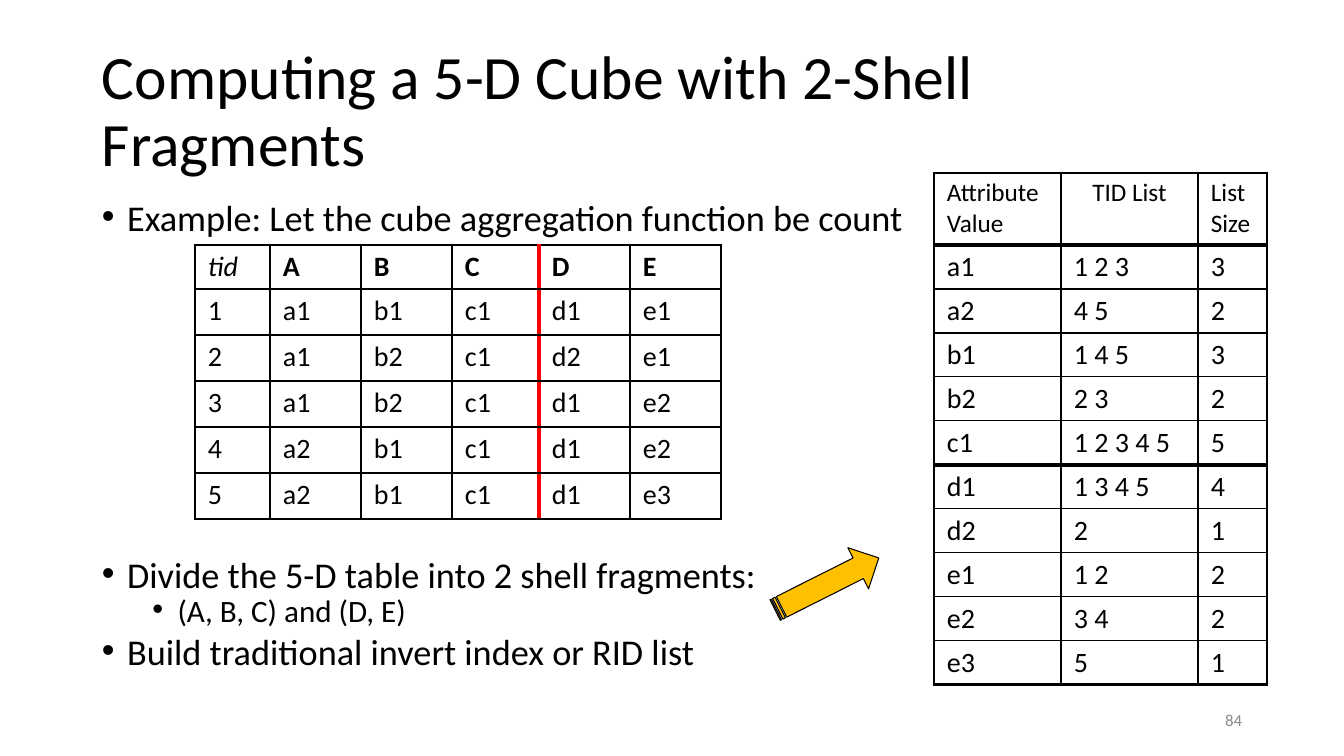
from lxml.etree import SubElement
from pptx import Presentation
from pptx.dml.color import RGBColor
from pptx.enum.shapes import MSO_SHAPE
from pptx.enum.text import MSO_ANCHOR, PP_ALIGN
from pptx.oxml import parse_xml
from pptx.oxml.ns import nsdecls, qn
from pptx.util import Emu, Pt

PX = 914400 / 100.8
BLACK = RGBColor(0x00, 0x00, 0x00)
RED = RGBColor(0xFF, 0x00, 0x00)
AMBER = RGBColor(0xFF, 0xC0, 0x00)
GRAY = RGBColor(0x8C, 0x8C, 0x8C)

# Cell rules as (colour, width in points)
INNER, OUTER = (BLACK, 1), (BLACK, 2.25)
THICK, SPLIT = (BLACK, 3), (RED, 3)

TUPLES = [
    "tid A B C D E".split(),
    "1 a1 b1 c1 d1 e1".split(),
    "2 a1 b2 c1 d2 e1".split(),
    "3 a1 b2 c1 d1 e2".split(),
    "4 a2 b1 c1 d1 e2".split(),
    "5 a2 b1 c1 d1 e3".split(),
]
TID_LISTS = {
    "a1": "1 2 3", "a2": "4 5", "b1": "1 4 5", "b2": "2 3", "c1": "1 2 3 4 5",
    "d1": "1 3 4 5", "d2": "2", "e1": "1 2", "e2": "3 4", "e3": "5",
}
INDEX = [["Attribute Value", "TID List", "List Size"]]
INDEX += [[value, tids, str(len(tids.split()))] for value, tids in TID_LISTS.items()]


def px(n):
    return Emu(round(n * PX))


def rule_at(i, last, special):
    """Style of the i-th grid line, counted from the table's left or top."""
    return special.get(i, OUTER if i in (0, last) else INNER)


class Slide:
    font = "Calibri"

    def __init__(self, prs):
        self.shapes = prs.slides.add_slide(prs.slide_layouts[6]).shapes

    def style(self, p, size, color=BLACK):
        for r in p.runs:
            r.font.name = self.font
            r.font.size = Pt(size)
            r.font.color.rgb = color

    def frame(self, x, y, w, h, anchor=MSO_ANCHOR.TOP):
        tf = self.shapes.add_textbox(px(x), px(y), px(w), px(h)).text_frame
        tf.word_wrap = True
        tf.vertical_anchor = anchor
        return tf

    def line(self, x, y, w, h, text, size, color=BLACK, align=PP_ALIGN.LEFT):
        p = self.frame(x, y, w, h, MSO_ANCHOR.MIDDLE).paragraphs[0]
        p.text = text
        p.alignment = align
        p.line_spacing = 0.9
        self.style(p, size, color)

    def bullets(self, x, y, w, h, items):
        """Each item is (level, text)."""
        tf = self.frame(x, y, w, h)
        for i, (level, text) in enumerate(items):
            p = tf.add_paragraph() if i else tf.paragraphs[0]
            p.text = text
            p.level = level
            p.line_spacing = 0.7
            if i:
                p.space_before = Pt(5 if level else 10)
            pPr = p._p.get_or_add_pPr()
            pPr.set("marL", str(228600 + level * 457200))
            pPr.set("indent", "-228600")
            SubElement(pPr, qn("a:buFont")).set("typeface", "Arial")
            SubElement(pPr, qn("a:buChar")).set("char", "•")
            self.style(p, 22.2 if level else 25.9)

    def table(self, x, y, widths, heights, rows, v_rules, h_rules, head_size=20):
        n_rows, n_cols = len(rows), len(widths)
        table = self.shapes.add_table(n_rows, n_cols, px(x), px(y),
                                      px(sum(widths)), px(sum(heights))).table
        table.first_row = table.horz_banding = False
        for col, w in zip(table.columns, widths):
            col.width = px(w)
        for row, h in zip(table.rows, heights):
            row.height = px(h)
        for i, values in enumerate(rows):
            for j, text in enumerate(values):
                cell = table.cell(i, j)
                cell.text = text
                cell.margin_left = cell.margin_right = px(13)
                cell.margin_top = cell.margin_bottom = px(5)
                cell.fill.background()
                self.style(cell.text_frame.paragraphs[0], 20 if i else head_size)
                self.borders(cell, {
                    "lnL": rule_at(j, n_cols, v_rules),
                    "lnR": rule_at(j + 1, n_cols, v_rules),
                    "lnT": rule_at(i, n_rows, h_rules),
                    "lnB": rule_at(i + 1, n_rows, h_rules),
                })
        return table

    def borders(self, cell, rules):
        tcPr = cell._tc.get_or_add_tcPr()
        for i, (side, (color, width)) in enumerate(rules.items()):
            tcPr.insert(i, parse_xml(
                f'<a:{side} {nsdecls("a")} w="{Pt(width)}"><a:solidFill>'
                f'<a:srgbClr val="{color}"/></a:solidFill></a:{side}>'))

    def arrow(self, x, y, w, h, angle):
        sp = self.shapes.add_shape(MSO_SHAPE.STRIPED_RIGHT_ARROW,
                                   px(x), px(y), px(w), px(h))
        sp.shadow.inherit = False
        sp.rotation = angle
        sp.fill.solid()
        sp.fill.fore_color.rgb = AMBER
        sp.line.color.rgb = BLACK
        sp.line.width = Pt(0.75)


def main():
    prs = Presentation()
    prs.slide_width, prs.slide_height = px(1344), px(756)
    s = Slide(prs)

    s.line(92, 40, 1159, 146, "Computing a 5-D Cube with 2-Shell Fragments", 44)
    s.bullets(92, 202, 840, 40, [
        (0, "Example: Let the cube aggregation function be count"),
    ])
    s.bullets(92, 559, 700, 122, [
        (0, "Divide the 5-D table into 2 shell fragments:"),
        (1, "(A, B, C) and (D, E)"),
        (0, "Build traditional invert index or RID list"),
    ])

    cube = s.table(195, 245, [75, 91, 91, 87, 91, 91], [44] + [46] * 5, TUPLES,
                   v_rules={4: SPLIT}, h_rules={})
    for j in range(len(TUPLES[0])):
        font = cube.cell(0, j).text_frame.paragraphs[0].runs[0].font
        font.italic, font.bold = j == 0, j > 0

    index = s.table(934, 173, [127, 137, 69], [72] + [44] * 10, INDEX,
                    v_rules={}, h_rules={1: THICK, 6: THICK}, head_size=18)
    index.cell(0, 1).text_frame.paragraphs[0].alignment = PP_ALIGN.CENTER

    s.arrow(769, 561, 116, 46, 333.3)
    s.line(950, 701, 302, 40, "84", 12, GRAY, PP_ALIGN.RIGHT)
    prs.save("out.pptx")


if __name__ == "__main__":
    main()
